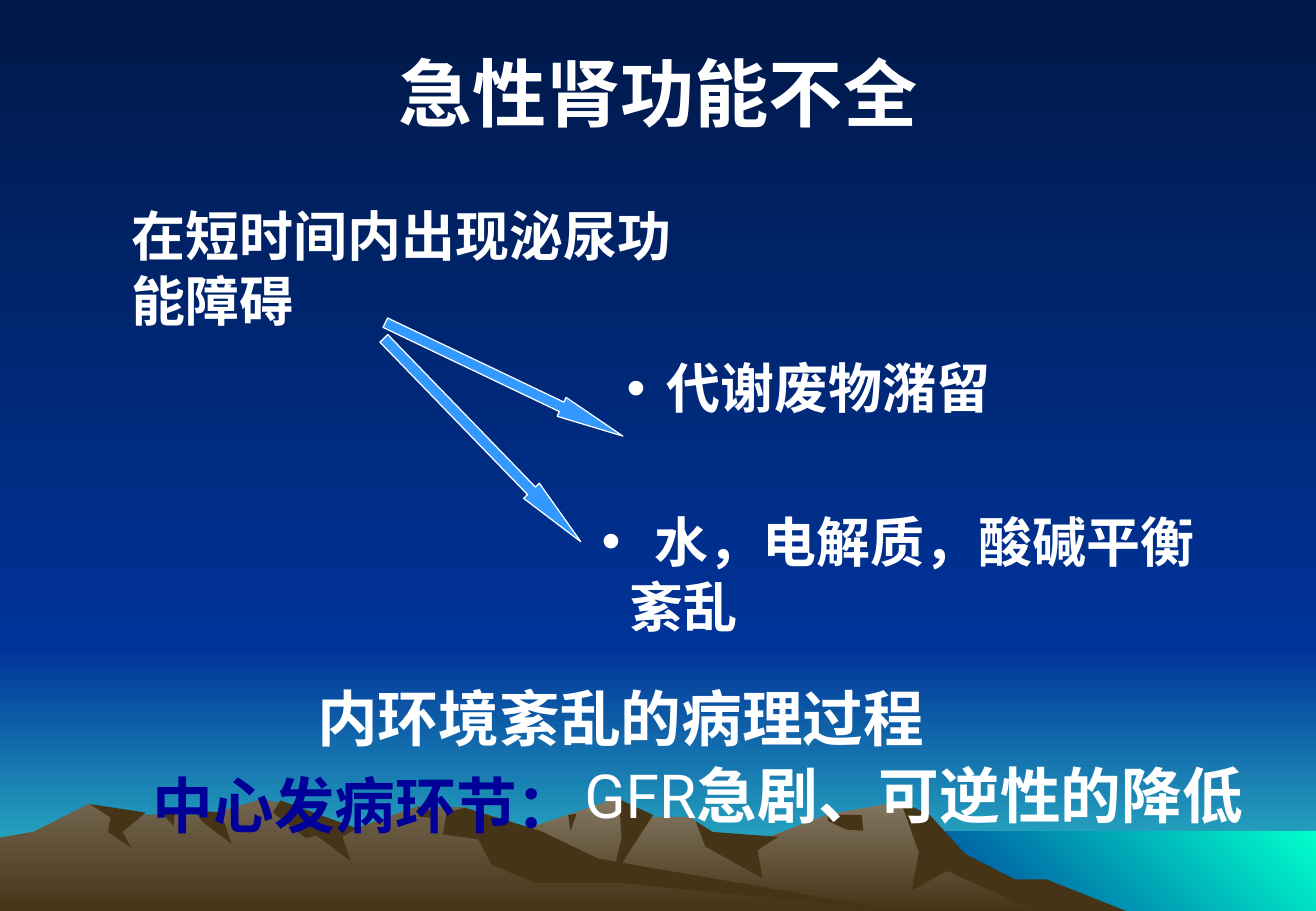
from pptx import Presentation
from pptx.dml.color import RGBColor as RGB
from pptx.enum.shapes import MSO_SHAPE as SHAPE
from pptx.enum.text import MSO_ANCHOR as ANCHOR, PP_ALIGN as ALIGN
from pptx.oxml.ns import qn
from pptx.util import Inches, Pt
from lxml.etree import SubElement

NIGHT = RGB(0x00, 0x18, 0x47)
BLUE = RGB(0x00, 0x33, 0x99)
TEAL = RGB(0x33, 0xCC, 0xCC)
MINT = RGB(0x00, 0xFF, 0xCC)
STONE = RGB(0x84, 0x78, 0x64)
CLAY = RGB(0x73, 0x65, 0x4F)
EARTH = RGB(0x46, 0x34, 0x16)
SKY = RGB(0x33, 0x99, 0xFF)
NAVY = RGB(0x00, 0x00, 0x99)
WHITE = RGB(0xFF, 0xFF, 0xFF)

prs = Presentation()
prs.slide_width, prs.slide_height = Inches(10.84), Inches(7.5)
col, row = prs.slide_width / 100, prs.slide_height / 100
s = prs.slides.add_slide(prs.slide_layouts[6])


def shade(fill, colors, angle=270):
    if len(colors) == 1:
        fill.solid()
        fill.fore_color.rgb = colors[0]
        return
    fill.gradient()
    fill.gradient_angle = angle
    for stop, color in zip(fill.gradient_stops, colors):
        stop.color.rgb = color


def place(x, y, w, h):
    return int(x * col), int(y * row), int(w * col), int(h * row)


shade(s.background.fill, [NIGHT, BLUE])

bands = [
    ((0, 71, 100, 29), [BLUE, TEAL], 270),
    ((0, 0, 100, 71), [NIGHT, BLUE], 270),
    ((68.3, 91.3, 31.7, 8.7), [BLUE, MINT], 45),
]
for box, colors, angle in bands:
    sp = s.shapes.add_shape(SHAPE.RECTANGLE, *place(*box))
    sp.shadow.inherit = False
    sp.line.fill.background()
    shade(sp.fill, colors, angle)

mountains = [
    ([STONE, EARTH], [
        (889, 751), (827, 723), (783, 698), (742, 660), (681, 671), (614, 697), (581, 690),
        (570, 673), (526, 673), (506, 658), (427, 685), (354, 709), (280, 751)]),
    ([EARTH], [
        (742, 660), (757, 702), (751, 733), (780, 717), (858, 752), (930, 751), (862, 724),
        (836, 724), (795, 703), (766, 671)]),
    ([EARTH], [(510, 658), (512, 690), (503, 727), (519, 700), (538, 671)]),
    ([EARTH], [(573, 676), (581, 697), (628, 723), (624, 700), (641, 689), (587, 685)]),
    ([EARTH], [(682, 671), (682, 676), (697, 683), (711, 684), (710, 671)]),
    ([EARTH], [(468, 671), (475, 670), (470, 684)]),
    ([CLAY, EARTH], [
        (748, 751), (468, 712), (383, 665), (344, 664), (294, 682), (255, 681), (242, 663),
        (215, 658), (173, 671), (102, 671), (73, 662), (28, 685), (0, 690), (0, 751)]),
    ([EARTH], [
        (231, 659), (225, 669), (252, 690), (261, 688), (289, 709), (282, 689), (294, 682)]),
    ([EARTH], [
        (368, 669), (365, 687), (394, 691), (405, 712), (441, 727), (512, 727), (748, 751),
        (493, 707), (445, 684), (383, 665)]),
    ([EARTH], [(344, 664), (354, 667), (357, 674), (345, 672)]),
    ([EARTH], [(161, 667), (182, 669), (191, 695), (166, 676)]),
    ([EARTH], [(133, 669), (144, 670), (143, 680)]),
    ([EARTH], [
        (74, 662), (120, 669), (101, 685), (108, 698), (89, 685), (91, 673)]),
]
for colors, points in mountains:
    outline = s.shapes.build_freeform(*points[0], scale=Inches(0.01))
    outline.add_line_segments(points[1:], close=True)
    sp = outline.convert_to_shape()
    sp.shadow.inherit = False
    sp.line.fill.background()
    shade(sp.fill, colors)

arrows = [((25.9, 47.1, 21.5, 2.4), 45.9), ((28.3, 40.5, 20, 2.3), 25.5)]
for box, turn in arrows:
    sp = s.shapes.add_shape(SHAPE.RIGHT_ARROW, *place(*box))
    sp.shadow.inherit = False
    sp.rotation = turn
    sp.adjustments[1] = 3.24
    shade(sp.fill, [SKY])
    sp.line.color.rgb = WHITE
    sp.line.width = Pt(0.75)

BODY = {"size": Pt(32), "name": "Roboto", "bold": True}
LARGE = {**BODY, "size": Pt(36)}
PLAIN = {"bold": False}
texts = [
    ((7.5, 1.7, 85, 16.7), {**BODY, "size": Pt(44), "name": "Arial"}, WHITE, None,
     [("急性肾功能不全", {})]),
    ((9.1, 21.6, 44.2, 15.6), BODY, WHITE, None,
     [("在", {}), ("短时间内出现泌尿功能障碍", {"name": "Times New Roman"})]),
    ((46.7, 38.3, 38.3, 8.5), BODY, WHITE, 0,
     [(" ", PLAIN), ("代谢废物潴留", {})]),
    ((44.8, 55.2, 47.3, 15.6), BODY, WHITE, 8,
     [(" ", PLAIN), ("水，电解质，酸碱平衡紊乱", {})]),
    ((23.2, 74.1, 48, 9.3), LARGE, WHITE, None, [("内环境紊乱的病理过程", {})]),
    ((43.5, 82.5, 55.2, 9.3), LARGE, WHITE, None,
     [("GFR", PLAIN), ("急剧、可逆性的降低", {})]),
    ((10.7, 83.6, 44.1, 9.3), LARGE, NAVY, None, [("中心发病环节：", {})]),
]
for i, (box, style, color, gap, runs) in enumerate(texts):
    tf = s.shapes.add_textbox(*place(*box)).text_frame
    tf.word_wrap = i != 4
    p = tf.paragraphs[0]
    if i == 0:
        tf.vertical_anchor = ANCHOR.MIDDLE
        p.alignment = ALIGN.CENTER
    if gap is not None:
        pPr = p._p.get_or_add_pPr()
        pPr.set("marL", str(Inches(0.23)))
        pPr.set("indent", str(-Inches(0.23)))
        SubElement(pPr, qn("a:buFont")).set("typeface", "Arial")
        SubElement(pPr, qn("a:buChar")).set("char", "•")
    for text, changes in runs:
        r = p.add_run()
        r.text = text
        for key, value in {**style, **changes}.items():
            setattr(r.font, key, value)
        r.font.color.rgb = color
        if gap and text == " ":
            r.font._element.set("spc", str(gap * 100))

prs.save("out.pptx")
